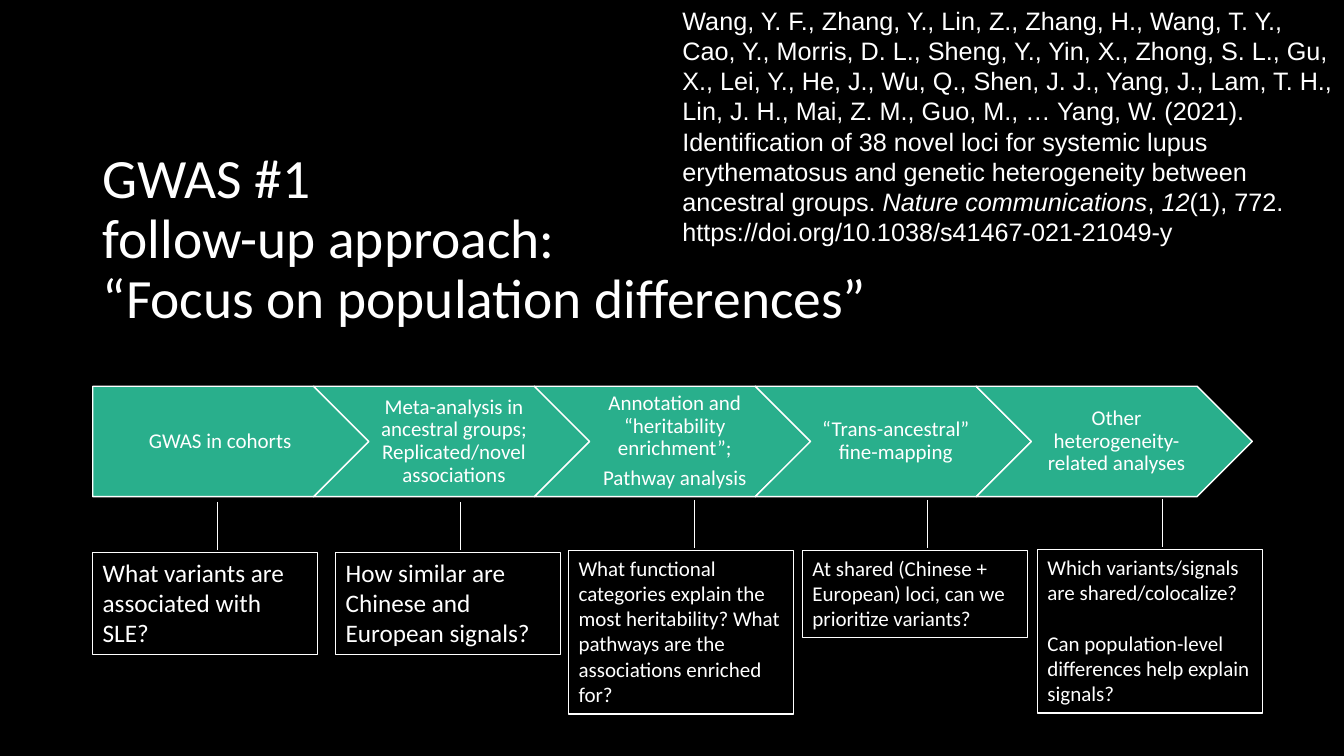
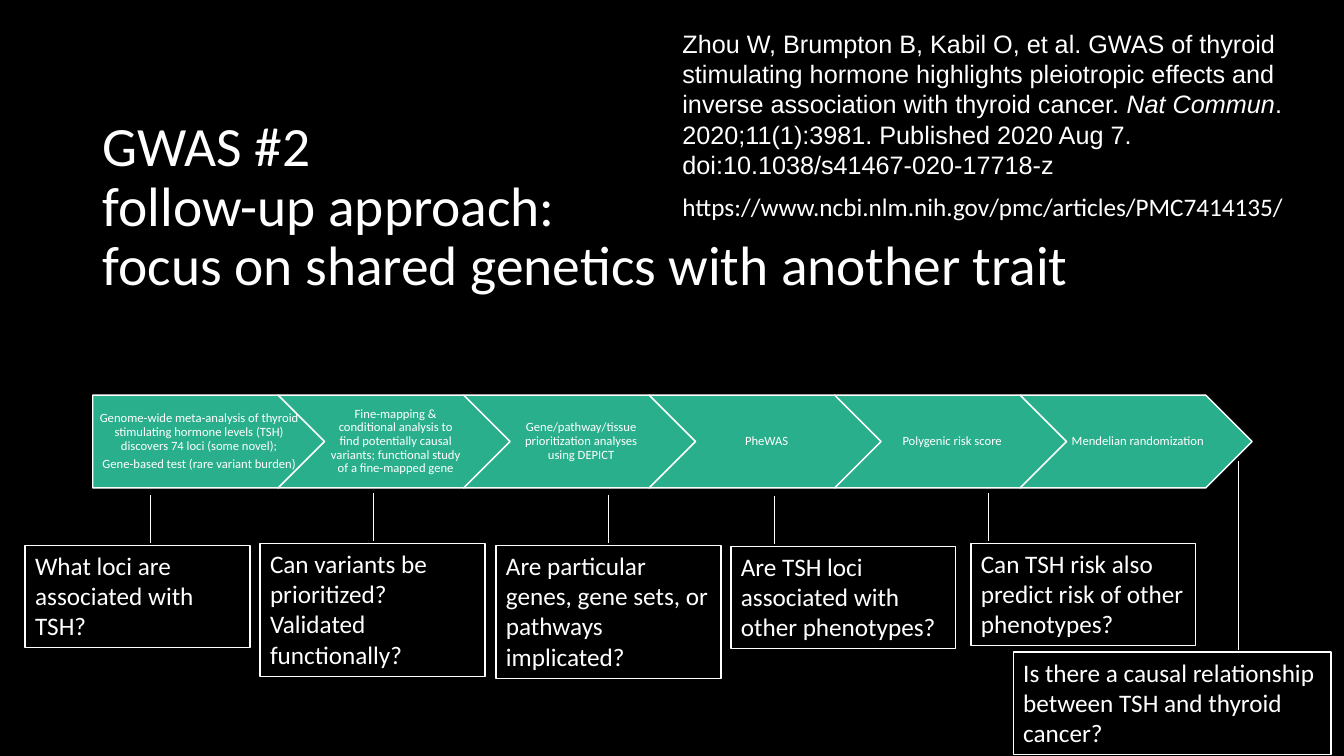
from lxml import etree
from pptx import Presentation
from pptx.dml.color import RGBColor
from pptx.enum.shapes import MSO_CONNECTOR, MSO_SHAPE
from pptx.enum.text import MSO_ANCHOR, MSO_AUTO_SIZE, PP_ALIGN
from pptx.oxml.ns import qn
from pptx.util import Inches, Pt

BLACK = RGBColor(0x00, 0x00, 0x00)
WHITE = RGBColor(0xFF, 0xFF, 0xFF)
GREEN = RGBColor(0x29, 0xAF, 0x8C)
LEFT, CENTER = PP_ALIGN.LEFT, PP_ALIGN.CENTER
TOP, MIDDLE = MSO_ANCHOR.TOP, MSO_ANCHOR.MIDDLE
GROW, FIXED = MSO_AUTO_SIZE.SHAPE_TO_FIT_TEXT, MSO_AUTO_SIZE.NONE
PENTAGON, CHEVRON, RECTANGLE = MSO_SHAPE.PENTAGON, MSO_SHAPE.CHEVRON, MSO_SHAPE.RECTANGLE
STRAIGHT = MSO_CONNECTOR.STRAIGHT

MARGIN, CONTENT_W = 0.92, 11.5
TITLE_H = 1.45
FLOW_MIDDLE = 4.38
FLOW_STEP = 0.8  # share of a step's width between one step and the next
CITATION_X, CITATION_W = 6.67, 6.67
LINE_SPACING = 1.22
QUESTION_W = 2.23
LINK_LENGTH = 0.48
INSETS = (0.1, 0.05, 0.1, 0.05)

# A paragraph is a string or a list of runs; a run in a tuple is italic.
# Questions: paragraphs, size, line count, left, top, link x, then options.
SLIDES = [
    {
        "title": ["GWAS #1", "follow-up approach:", "“Focus on population differences”"],
        "title_top": 1.66,
        "citation": [[
            "Wang, Y. F., Zhang, Y., Lin, Z., Zhang, H., Wang, T. Y., Cao, Y., Morris, D. L., "
            "Sheng, Y., Yin, X., Zhong, S. L., Gu, X., Lei, Y., He, J., Wu, Q., Shen, J. J., "
            "Yang, J., Lam, T. H., Lin, J. H., Mai, Z. M., Guo, M., … Yang, W. (2021). "
            "Identification of 38 novel loci for systemic lupus erythematosus and genetic "
            "heterogeneity between ancestral groups. ",
            ("Nature communications",), ", ", ("12",),
            "(1), 772. https://doi.org/10.1038/s41467-021-21049-y",
        ]],
        "citation_box": (0, 2.52),
        "step_size": 15,
        "steps": [
            ["GWAS in cohorts"],
            ["Meta-analysis in ancestral groups; Replicated/novel associations"],
            ["Annotation and “heritability enrichment”;", "Pathway analysis"],
            ["“Trans-ancestral” fine-mapping"],
            ["Other heterogeneity-related analyses"],
        ],
        "questions": [
            (["What variants are associated with SLE?"], 18, 3, 0.92, 5.48, 2.16, {}),
            (["How similar are Chinese and European signals?"], 18, 3, 3.33, 5.48, 4.57, {}),
            (["What functional categories explain the most heritability? What pathways "
              "are the associations enriched for?"], 15, 6, 5.64, 5.46, 6.89, {}),
            (["At shared (Chinese + European) loci, can we prioritize variants?"],
             15, 3, 7.96, 5.46, 9.2, {}),
            (["Which variants/signals are shared/colocalize?",
              "Can population-level differences help explain signals?"],
             15, 6, 10.29, 5.45, 11.53, {}),
        ],
    },
    {
        "title": ["GWAS #2", "follow-up approach:", "focus on shared genetics with another trait"],
        "title_top": 1.34,
        "citation": [[
            "Zhou W, Brumpton B, Kabil O, et al. GWAS of thyroid stimulating hormone highlights "
            "pleiotropic effects and inverse association with thyroid cancer. ",
            ("Nat Commun",),
            ". 2020;11(1):3981. Published 2020 Aug 7. doi:10.1038/s41467-020-17718-z",
        ]],
        "citation_box": (0.23, 1.62),
        "address": "https://www.ncbi.nlm.nih.gov/pmc/articles/PMC7414135/",
        "step_size": 9,
        "steps": [
            ["Genome-wide meta-analysis of thyroid stimulating hormone levels (TSH) "
             "discovers 74 loci (some novel);", "Gene-based test (rare variant burden)"],
            ["Fine-mapping & conditional analysis to find potentially causal variants; "
             "functional study of a fine-mapped gene"],
            ["Gene/pathway/tissue prioritization analyses using DEPICT"],
            ["PheWAS"],
            ["Polygenic risk score"],
            ["Mendelian randomization"],
        ],
        "questions": [
            (["What loci are associated with TSH?"], 18, 3, 0.25, 5.41, 1.49, {}),
            (["Can variants be prioritized? Validated functionally?"],
             18, 4, 2.58, 5.39, 3.7, {}),
            (["Are particular genes, gene sets, or pathways implicated?"],
             18, 4, 4.92, 5.41, 6.03, {}),
            (["Are TSH loci associated with other phenotypes?"], 18, 3, 7.25, 5.42, 7.68, {}),
            (["Can TSH risk also predict risk of other phenotypes?"],
             18, 3, 9.63, 5.39, 9.8, {}),
            (["Is there a causal relationship between TSH and thyroid cancer?"],
             18, 3, 10.05, 6.47, 12.28, {"width": 3.15, "link": 1.88}),
        ],
    },
]


def write(shape, paragraphs, size=18, font="Calibri", align=LEFT, anchor=TOP, spacing=1.0,
          gap=0, after=0, insets=INSETS, wrap=True, fit=GROW):
    """Fill a shape with text; gap is the space between paragraphs in points."""
    tf = shape.text_frame
    tf.word_wrap = wrap
    tf.auto_size = fit
    tf.vertical_anchor = anchor
    tf.margin_left, tf.margin_top, tf.margin_right, tf.margin_bottom = map(Inches, insets)
    for i, runs in enumerate(paragraphs):
        p = tf.add_paragraph() if i else tf.paragraphs[0]
        p.alignment = align
        p.line_spacing = spacing
        p.space_before = Pt(gap if i else 0)
        p.space_after = Pt(after)
        for run in [runs] if isinstance(runs, str) else runs:
            r = p.add_run()
            r.font.italic = isinstance(run, tuple)
            r.text = run[0] if r.font.italic else run
            r.font.size = Pt(size)
            r.font.name = font
            r.font.color.rgb = WHITE


def add_box(slide, kind, left, top, width, height, fill=None):
    s = slide.shapes.add_shape(kind, *map(Inches, (left, top, width, height)))
    s.shadow.inherit = False
    if fill is None:
        s.fill.background()
    else:
        s.fill.solid()
        s.fill.fore_color.rgb = fill
    s.line.color.rgb = WHITE
    s.line.width = Pt(1)
    return s


def add_link(slide, x, top, bottom):
    link = slide.shapes.add_connector(STRAIGHT, *map(Inches, (x, top, x, bottom)))
    link.line.color.rgb = WHITE
    link.line.width = Pt(0.5)
    etree.SubElement(link._element.spPr, qn("a:effectLst"))


def add_title(slide, lines, top):
    title = slide.shapes.title
    title.left, title.top, title.width, title.height = map(
        Inches, (MARGIN, top, CONTENT_W, TITLE_H))
    write(title, lines, size=39.6, anchor=MIDDLE, spacing=0.9, fit=FIXED)


def add_textbox(slide, left, top, width, height, paragraphs, **text_format):
    s = slide.shapes.add_textbox(*map(Inches, (left, top, width, height)))
    write(s, paragraphs, **text_format)


def add_flow(slide, steps, size):
    """Draw overlapping arrows that together span the content width."""
    width = CONTENT_W / (1 + FLOW_STEP * (len(steps) - 1))
    height = 0.4 * width
    for i, step in enumerate(steps):
        s = add_box(slide, CHEVRON if i else PENTAGON, MARGIN + i * FLOW_STEP * width,
                    FLOW_MIDDLE - height / 2, width, height, fill=GREEN)
        left_inset = size / 225 if i else size / 180
        write(s, step, size=size, align=CENTER, anchor=MIDDLE, spacing=0.9,
              after=0.35 * size, fit=FIXED,
              insets=(left_inset, size / 360, size / 720, size / 360))


def add_question(slide, paragraphs, size, lines, left, top, link_x,
                 width=QUESTION_W, link=LINK_LENGTH):
    bottom = top - 0.02
    add_link(slide, link_x, bottom - link, bottom)
    height = 0.1 + lines * size * LINE_SPACING / 72
    s = add_box(slide, RECTANGLE, left, top, width, height)
    write(s, paragraphs, size=size, gap=size * LINE_SPACING)


def main():
    prs = Presentation()
    prs.slide_width, prs.slide_height = Inches(13.33), Inches(7.5)
    background = prs.slide_master.background.fill
    background.solid()
    background.fore_color.rgb = BLACK
    for content in SLIDES:
        slide = prs.slides.add_slide(prs.slide_layouts[5])
        add_title(slide, content["title"], content["title_top"])
        add_flow(slide, content["steps"], content["step_size"])
        top, height = content["citation_box"]
        add_textbox(slide, CITATION_X, top, CITATION_W, height, content["citation"],
                    font="Arial")
        if "address" in content:
            add_textbox(slide, CITATION_X, top + height, 6.23, 0.4, [content["address"]],
                        wrap=False)
        for *question, options in content["questions"]:
            add_question(slide, *question, **options)
    prs.save("out.pptx")


if __name__ == "__main__":
    main()
